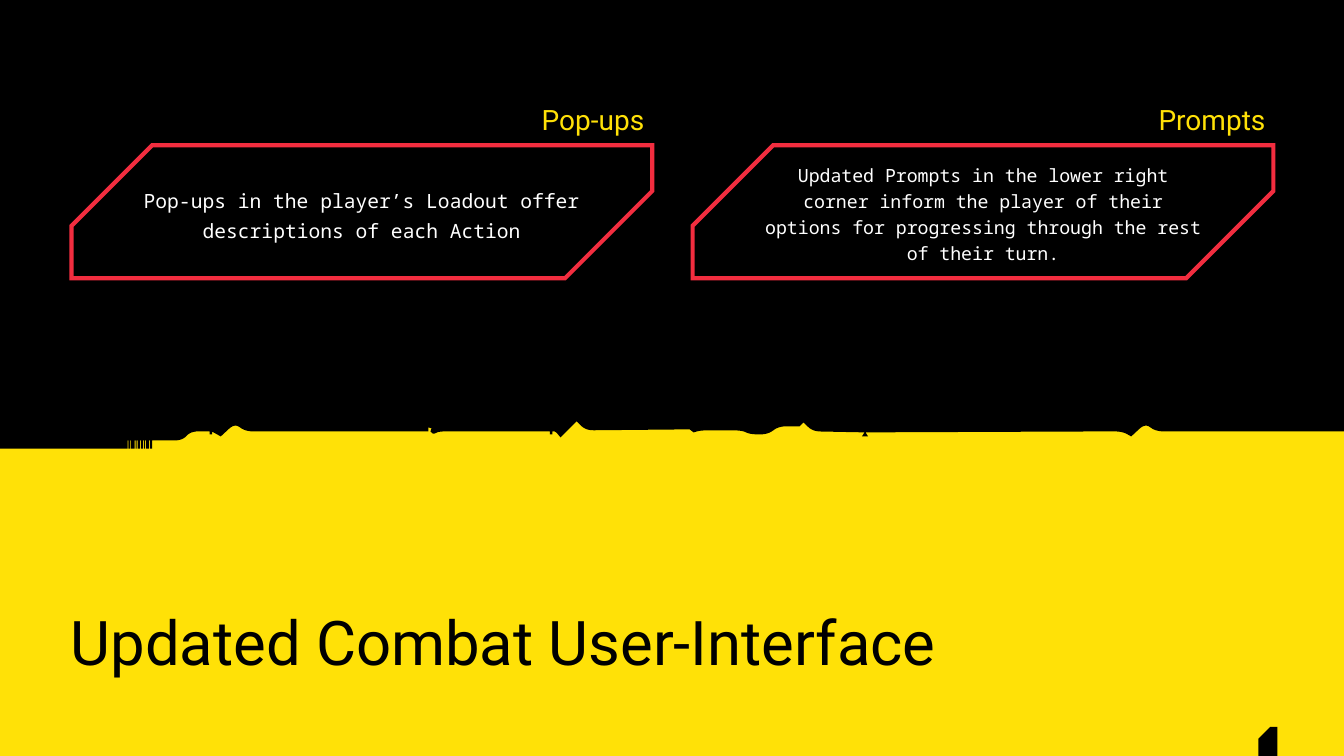
from math import dist
from lxml.etree import SubElement
from pptx import Presentation
from pptx.dml.color import RGBColor
from pptx.enum.shapes import MSO_SHAPE
from pptx.enum.text import MSO_ANCHOR, MSO_AUTO_SIZE, PP_ALIGN
from pptx.oxml.ns import qn
from pptx.util import Inches, Pt

BLACK = RGBColor(0x00, 0x00, 0x00)
WHITE = RGBColor(0xFF, 0xFF, 0xFF)
GOLD = RGBColor(0xFF, 0xE1, 0x07)
RED = RGBColor(0xF2, 0x2D, 0x3F)
SANS = "Roboto"
MONO = "Noto Sans Mono"

deck = Presentation()
deck.slide_width = Inches(13.33)
deck.slide_height = Inches(7.5)
rows = 75
cell = deck.slide_height / rows
cols = deck.slide_width / cell
slide = deck.slides.add_slide(deck.slide_layouts[5])
slide.background.fill.solid()
slide.background.fill.fore_color.rgb = GOLD


def write(text, at, box=None, size=20, font=SANS, color=GOLD,
          align=PP_ALIGN.LEFT, anchor=MSO_ANCHOR.TOP, space=1.2):
    place = [round(n * cell) for n in at]
    if box is None:
        box = slide.shapes.add_textbox(*place)
    box.left, box.top, box.width, box.height = place
    frame = box.text_frame
    frame.word_wrap = True
    frame.auto_size = MSO_AUTO_SIZE.NONE
    frame.vertical_anchor = anchor
    frame.text = text
    line = frame.paragraphs[0]
    line.alignment = align
    line.line_spacing = space
    run = line.runs[0].font
    run.size, run.name, run.color.rgb = Pt(size), font, color


def trace(spots, fill=None, edge=None):
    spots = [(round(x * cell), round(y * cell)) for x, y in spots]
    pen = slide.shapes.build_freeform(*spots[0])
    pen.add_line_segments(spots[1:], close=True)
    form = pen.convert_to_shape()
    form.shadow.inherit = False
    if fill is None:
        form.fill.background()
    else:
        form.fill.solid()
        form.fill.fore_color.rgb = fill
    if edge is None:
        form.line.fill.background()
    else:
        form.line.color.rgb = edge
        form.line.width = Pt(3)
        pen_end = form.element.find(".//" + qn("a:ln"))
        SubElement(pen_end, qn("a:miter"), lim="800000")


base = 42.8
low = 1.7
step = 0.9
reach = 0.8
SOFT, HARD = True, False

spike = [(-0.05, low, HARD), (-0.05, step, HARD), (0.05, step, HARD), (0.05, low, HARD)]
ramp = [(-3, low, HARD), (-3, step, HARD), (0, step, SOFT), (0.8, 0, SOFT)]
tick = [(-0.15, 0, HARD), (-0.15, 0.3, HARD), (0.1, 0.3, HARD), (0.1, 0, HARD)]
hill = [(-2.3, 0, SOFT), (-1.4, 0.5, HARD), (0, -0.8, SOFT), (1, 0, SOFT)]
chip = [(-0.3, 0, HARD), (-0.3, -0.4, HARD), (0, -0.3, HARD), (-0.1, 0, HARD),
        (0.2, 0.3, SOFT), (0.7, 0, SOFT)]
peak = [(-2.1, 0, SOFT), (-1.6, 0.6, HARD), (0, -1, HARD), (0.9, -0.1, SOFT)]
dip = [(-0.4, -0.2, HARD), (0, 0.1, HARD), (0.7, -0.1, SOFT)]
mesa = [(-4.4, -0.1, SOFT), (-3.6, 0.3, SOFT), (-1.8, 0.3, SOFT), (-0.8, -0.5, SOFT),
        (1.3, -0.5, HARD), (1.7, -0.9, HARD), (2.6, 0, SOFT)]
spur = [(-0.05, 0.1, HARD), (-0.3, 0.5, HARD), (0.3, 0.5, HARD), (0.05, 0.1, HARD)]

teeth = [12.7, 12.95, 13.4, 13.6, 13.95, 14.25, 14.45, 14.85]
marks = [(x, spike) for x in teeth]
marks += [(18.1, ramp), (20.95, tick), (23.3, hill), (42.8, chip), (54.7, tick),
          (57.2, peak), (68.8, dip), (78, mesa), (85.8, spur), (113.6, hill)]

knots = [(0, base + low, HARD)]
knots += [(x + dx, base + dy, soft) for x, motif in marks for dx, dy, soft in motif]
knots += [(cols, base, HARD)]

torn = [(cols, 40.1), (0, 40.1)]
for spot, (x, y, soft) in enumerate(knots):
    if not soft:
        torn.append((x, y))
        continue
    ends = []
    for nx, ny, _ in (knots[spot - 1], knots[spot + 1]):
        share = min(0.5, reach / dist((x, y), (nx, ny)))
        ends.append((x + (nx - x) * share, y + (ny - y) * share))
    (ax, ay), (bx, by) = ends
    for turn in range(7):
        t = turn / 6
        a, c, b = (1 - t) ** 2, 2 * t * (1 - t), t ** 2
        torn.append((a * ax + c * x + b * bx, a * ay + c * y + b * by))
trace(torn, fill=BLACK)

night = slide.shapes.add_shape(
    MSO_SHAPE.RECTANGLE, 0, 0, deck.slide_width, round(40.7 * cell))
night.shadow.inherit = False
night.fill.solid()
night.fill.fore_color.rgb = BLACK
night.line.fill.background()

write("Updated Combat User-Interface", (6, 57.9, 125, 9.1),
      box=slide.shapes.title, size=44, color=BLACK)

cards = [
    ("Pop-ups", "Pop-ups in the player’s Loadout offer descriptions of each Action",
     14, 1.3),
    ("Prompts", "Updated Prompts in the lower right corner inform the player of "
     "their options for progressing through the rest of their turn.", 12.95, 1.2),
]
pitch = 61.6
top, foot, span = 14.4, 27.6, 57.6
cut, trim = 8, 8.65
for index, (head, body, size, space) in enumerate(cards):
    left = 7.1 + index * pitch
    right = left + span
    trace([(left, foot), (left, top + cut), (left + cut, top),
           (right, top), (right, foot - trim), (right - trim, foot)], edge=RED)
    write(body, (left + 6, top + 0.8, 45.6, 11.7), size=size, font=MONO, color=WHITE,
          align=PP_ALIGN.CENTER, anchor=MSO_ANCHOR.MIDDLE, space=space)
    write(head, (left + 40, 9, 17.8, 4.7), align=PP_ALIGN.RIGHT)

hook = [(124.8, 73.3), (124.8, 77.3), (121.1, 77.3), (114.6, 83.8), (109.5, 83.8),
        (108, 85.2), (108, 85.6), (115.4, 85.6), (121.9, 79.2), (126.7, 79.2),
        (126.7, 72.1), (126, 72.1)]
trace(hook, fill=BLACK)

deck.save("out.pptx")
